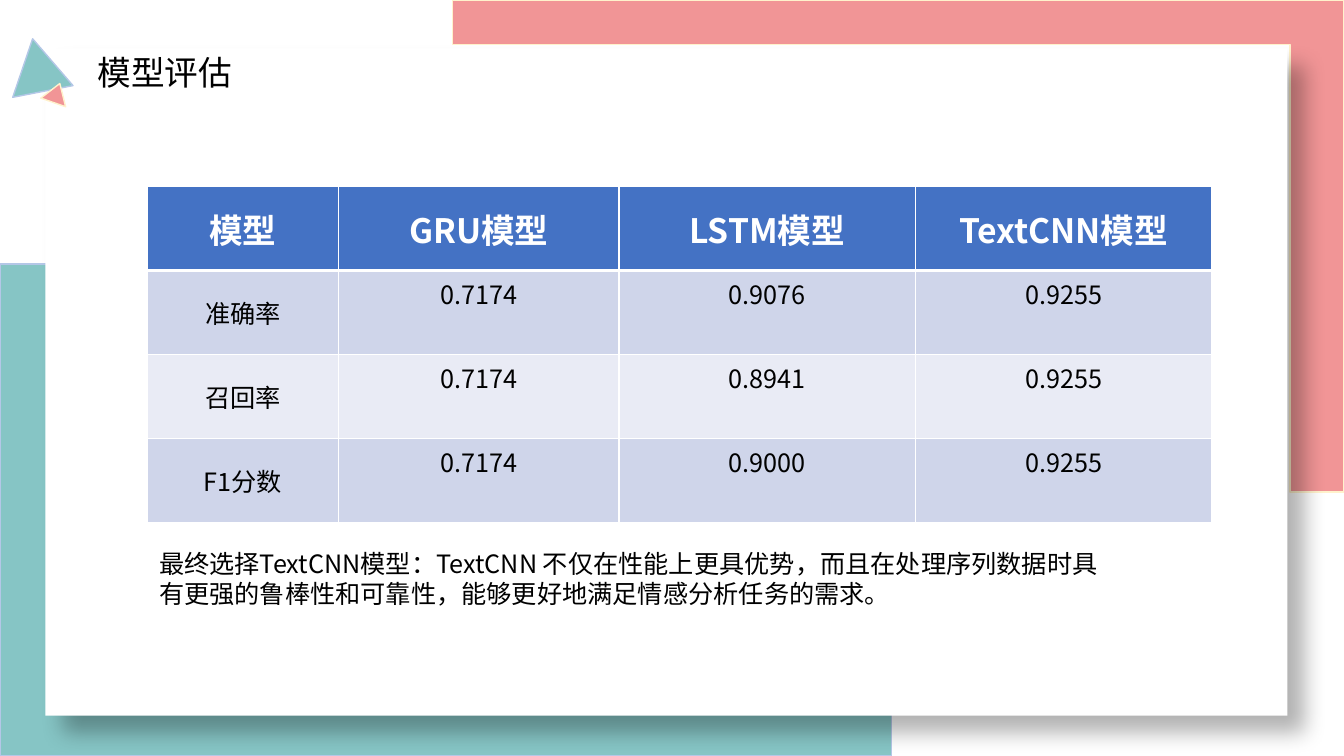
import pptx
import pptx.dml.color
import pptx.enum.shapes
import pptx.enum.text
import pptx.oxml
import pptx.oxml.ns
import pptx.util

COLORS = {
    "teal": "86C5C5", "pink": "F19596", "pale_blue": "B4C7E7",
    "cream": "FFF2CC", "white": "FFFFFF", "black": "000000",
    "header": "4472C4", "band_dark": "CFD5EA", "band_light": "E9EBF5",
}
FONT = "Noto Sans CJK SC"
SHAPES = pptx.enum.shapes.MSO_SHAPE
ALIGN = pptx.enum.text.PP_ALIGN
ANCHOR = pptx.enum.text.MSO_ANCHOR
DRAWING_NS = pptx.oxml.ns.nsdecls("a")

RESULTS = [
    ["模型", "GRU模型", "LSTM模型", "TextCNN模型"],
    ["准确率", "0.7174", "0.9076", "0.9255"],
    ["召回率", "0.7174", "0.8941", "0.9255"],
    ["F1分数", "0.7174", "0.9000", "0.9255"],
]
COLUMN_WEIGHTS = [1.9, 2.78, 2.94, 2.94]
CONCLUSION = (
    "最终选择TextCNN模型：TextCNN 不仅在性能上更具优势，而且在处理序列数据时"
    "具有更强的鲁棒性和可靠性，能够更好地满足情感分析任务的需求。"
)


def rgb(name):
    return pptx.dml.color.RGBColor.from_string(COLORS[name])


def part_of(box, left, top, width, height):
    """Return the part of box given in percent of its width and height."""
    x, y, w, h = box
    return (round(x + w * left / 100), round(y + h * top / 100),
            round(w * width / 100), round(h * height / 100))


def write(frame, text, size=18, color="black", bold=False, align=ALIGN.LEFT):
    para = frame.paragraphs[0]
    para.alignment = align
    span = para.add_run()
    span.text = text
    span.font.size = pptx.util.Pt(size)
    span.font.bold = bold
    span.font.color.rgb = rgb(color)
    span.font.name = FONT
    span.font._element.append(
        pptx.oxml.parse_xml(f'<a:ea {DRAWING_NS} typeface="{FONT}"/>'))


def fit_to_text(frame):
    frame.word_wrap = True
    frame.auto_size = pptx.enum.text.MSO_AUTO_SIZE.SHAPE_TO_FIT_TEXT
    frame.vertical_anchor = ANCHOR.TOP


def add_plain_shape(page, kind, box, fill, line=None, rotation=0):
    shape = page.shapes.add_shape(kind, *box)
    shape.shadow.inherit = False
    shape.rotation = rotation
    shape.fill.solid()
    shape.fill.fore_color.rgb = rgb(fill)
    if line:
        shape.line.color.rgb = rgb(line)
        shape.line.width = pptx.util.Pt(1)
    else:
        shape.line.fill.background()
    return shape


def add_corners(page, box):
    teal = add_plain_shape(page, SHAPES.CORNER,
                           part_of(box, 0, 34.93, 66.32, 65.07), "teal", "pale_blue")
    pink = add_plain_shape(page, SHAPES.CORNER,
                           part_of(box, 33.68, 0, 66.32, 65.07), "pink", "cream")
    for corner in (teal, pink):
        corner.adjustments[0] = 0.09
        corner.adjustments[1] = 0.11
    for flip in ("flipH", "flipV"):
        pink._element.spPr.xfrm.set(flip, "1")


def add_panel(page, box):
    panel = add_plain_shape(page, SHAPES.RECTANGLE, box, "white")
    effects = panel._element.spPr.find(pptx.oxml.ns.qn("a:effectLst"))
    effects.append(pptx.oxml.parse_xml(
        f'<a:outerShdw {DRAWING_NS} blurRad="{pptx.util.Pt(15)}" '
        f'dist="{pptx.util.Pt(18)}" dir="{45 * 60000}" algn="tl" rotWithShape="0">'
        f'<a:srgbClr val="{COLORS["black"]}"><a:alpha val="30000"/></a:srgbClr>'
        '</a:outerShdw>'))


def add_heading(page, box, text):
    """Place two triangles and the title in the strip at the top left."""
    add_plain_shape(page, SHAPES.FLOWCHART_EXTRACT,
                    part_of(box, 1.7, 0, 14.7, 83), "teal", "pale_blue", 349)
    add_plain_shape(page, SHAPES.FLOWCHART_EXTRACT,
                    part_of(box, 10.4, 69, 6.3, 31), "pink", "cream", 19.2)
    title = page.shapes.title
    title.left, title.top, title.width, title.height = part_of(box, 21, 12.5, 79, 78)
    page.shapes._spTree.append(title._element)
    fit_to_text(title.text_frame)
    write(title.text_frame, text, size=24, align=ALIGN.JUSTIFY)


def set_borders(cell, **widths):
    properties = cell._tc.get_or_add_tcPr()
    for side in "LRTB":
        width = pptx.util.Pt(widths.get(side, 1))
        properties.append(pptx.oxml.parse_xml(
            f'<a:ln{side} {DRAWING_NS} w="{width}"><a:solidFill>'
            f'<a:srgbClr val="{COLORS["white"]}"/></a:solidFill></a:ln{side}>'))


def add_results(page, box, rows):
    table = page.shapes.add_table(len(rows), len(rows[0]), *box).table
    for column, weight in zip(table.columns, COLUMN_WEIGHTS):
        column.width = round(box[2] * weight / sum(COLUMN_WEIGHTS))
    for r, values in enumerate(rows):
        table.rows[r].height = round(box[3] / len(rows))
        header = r == 0
        fill = "header" if header else "band_dark" if r % 2 else "band_light"
        for c, value in enumerate(values):
            cell = table.cell(r, c)
            set_borders(cell, T=3 if r == 1 else 1, B=3 if header else 1)
            cell.fill.solid()
            cell.fill.fore_color.rgb = rgb(fill)
            cell.vertical_anchor = ANCHOR.MIDDLE if header or c == 0 else ANCHOR.TOP
            write(cell.text_frame, value, size=24 if header else 18, bold=header,
                  color="white" if header else "black", align=ALIGN.CENTER)


def add_conclusion(page, box, text):
    frame = page.shapes.add_textbox(*box).text_frame
    fit_to_text(frame)
    write(frame, text)


def add_evaluation_slide(deck):
    page = deck.slides.add_slide(deck.slide_layouts.get_by_name("Title Only"))
    whole = (0, 0, deck.slide_width, deck.slide_height)
    add_corners(page, whole)
    add_panel(page, part_of(whole, 3.38, 6.4, 92.42, 88.27))
    add_heading(page, part_of(whole, 0, 5.07, 31.06, 8.55), "模型评估")
    add_results(page, part_of(whole, 10.95, 24.67, 79.22, 44.4), RESULTS)
    add_conclusion(page, part_of(whole, 11.1, 71.87, 72.46, 9.47), CONCLUSION)


def main():
    deck = pptx.Presentation()
    deck.slide_width = pptx.util.Inches(13.33)
    deck.slide_height = pptx.util.Inches(7.5)
    add_evaluation_slide(deck)
    deck.save("out.pptx")


if __name__ == "__main__":
    main()
